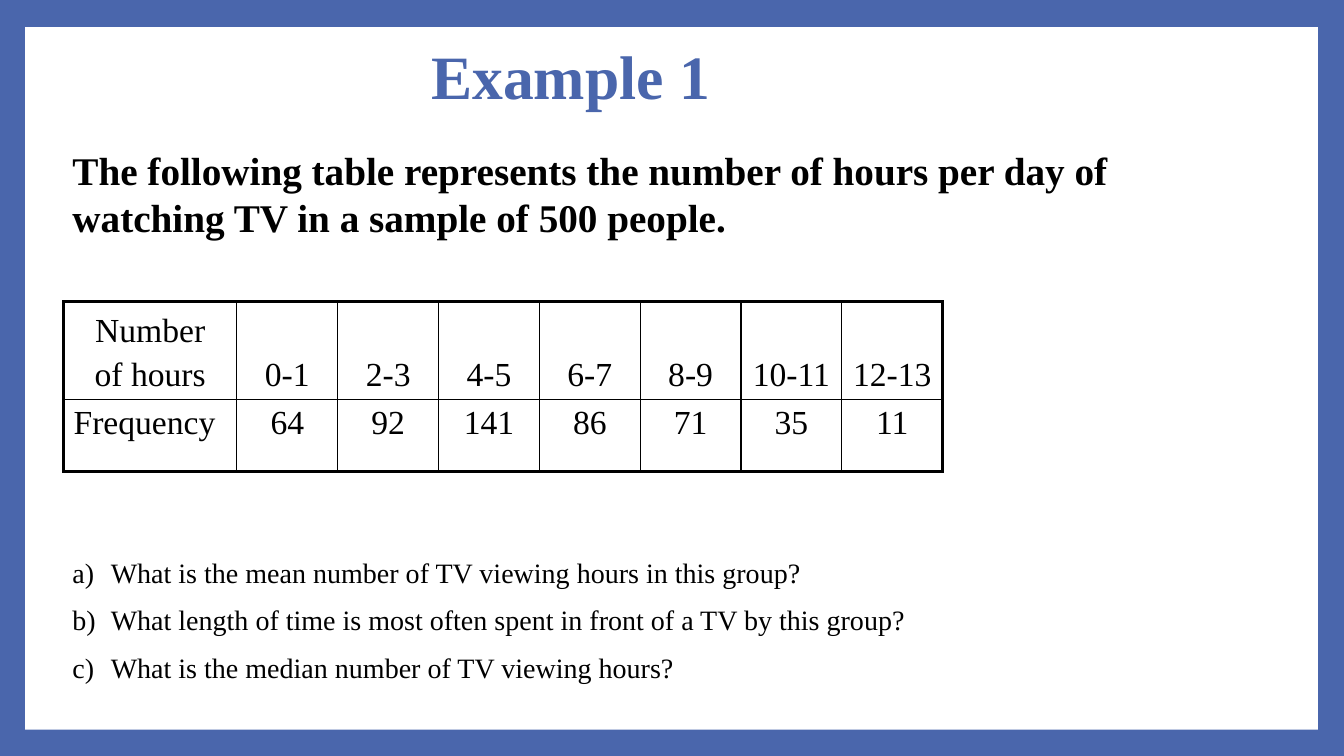
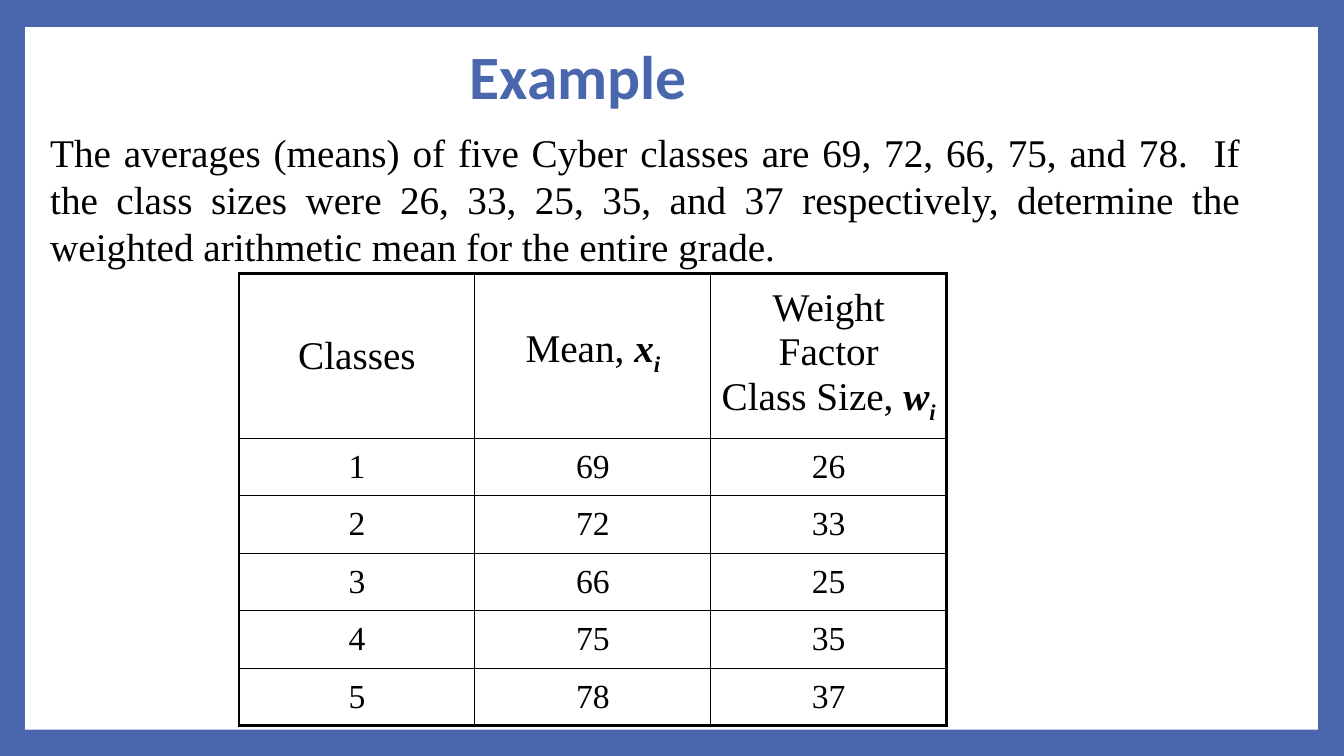
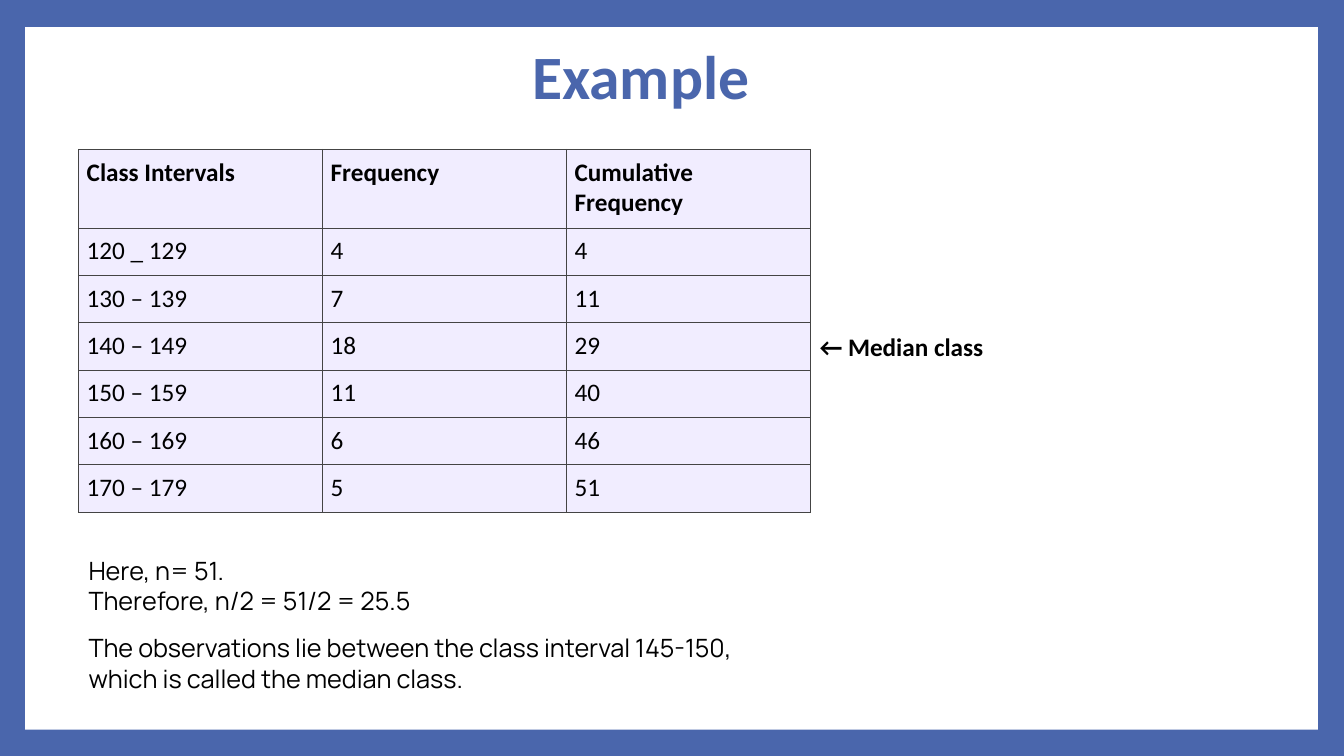
from pptx import Presentation
from pptx.dml.color import RGBColor
from pptx.enum.shapes import MSO_SHAPE
from pptx.enum.text import MSO_ANCHOR, PP_ALIGN
from pptx.oxml.ns import qn
from pptx.util import Inches, Pt
from lxml import etree

RECT = MSO_SHAPE.RECTANGLE
TOP, MIDDLE, BOTTOM = MSO_ANCHOR.TOP, MSO_ANCHOR.MIDDLE, MSO_ANCHOR.BOTTOM
LEFT, CENTER, JUSTIFY = PP_ALIGN.LEFT, PP_ALIGN.CENTER, PP_ALIGN.JUSTIFY

BLUE, WHITE, BLACK = "4A66AC", "FFFFFF", "000000"
LILAC, GREY = "F1EDFF", "444444"
SERIF, SANS, ROUND = "Times New Roman", "Calibri", "Manrope"
VAR = {"bold": True, "italic": True}


def color(code):
    return RGBColor.from_string(code)


def paint(fill, code):
    fill.solid()
    fill.fore_color.rgb = color(code)


def write(frame, items, font, ink=BLACK, align=LEFT, line=None, gap=0, letters=False):
    for i, item in enumerate(items):
        para = frame.paragraphs[0] if i == 0 else frame.add_paragraph()
        if letters:
            props = para._p.get_or_add_pPr()
            props.set("marL", str(Inches(0.38)))
            props.set("indent", str(-Inches(0.38)))
            etree.SubElement(props, qn("a:buAutoNum"), type="alphaLcParenR")
        para.alignment = align
        if line:
            para.line_spacing = Pt(line)
        if i and gap:
            para.space_before = Pt(gap)
        for text, style, base in [(item, {}, 0)] if isinstance(item, str) else item:
            run = para.add_run()
            run.text = text
            for key, value in {**font, **style}.items():
                setattr(run.font, key, value)
            run.font.color.rgb = color(ink)
            if base:
                run.font._element.set("baseline", str(base))


def face(name, size, bold=False):
    return {"name": name, "size": Pt(size), "bold": bold}


def textbox(slide, at, items, font, anchor=TOP, wrap=True, **look):
    frame = slide.shapes.add_textbox(*map(Inches, at)).text_frame
    frame.word_wrap = wrap
    frame.vertical_anchor = anchor
    write(frame, items, font, **look)


def add_page(deck, title, left, font=SANS):
    slide = deck.slides.add_slide(deck.slide_layouts[6])
    panel = slide.shapes.add_shape(RECT, *map(Inches, (0.25, 0.27, 12.82, 6.97)))
    panel.shadow.inherit = False
    paint(panel.fill, WHITE)
    panel.line.fill.background()
    textbox(slide, (left, 0, 5, 1.48), [title], face(font, 44, True), MIDDLE, ink=BLUE)
    return slide


def edge(cell, widths, code):
    props = cell._tc.get_or_add_tcPr()
    for i, (side, width) in enumerate(zip("LRTB", widths)):
        line = etree.Element(qn("a:ln" + side), w=str(Pt(width)))
        fill = etree.SubElement(line, qn("a:solidFill"))
        etree.SubElement(fill, qn("a:srgbClr"), val=code)
        props.insert(i, line)


def add_grid(slide, left, top, cols, rows, data, style, pad, rule, fill=None):
    inner, outer, code = rule
    size = map(Inches, (left, top, sum(cols), sum(rows)))
    table = slide.shapes.add_table(len(rows), len(cols), *size).table
    table.first_row = table.horz_banding = False
    for col, width in zip(table.columns, cols):
        col.width = Inches(width)
    for r, height in enumerate(rows):
        table.rows[r].height = Inches(height)
        for c, value in enumerate(data[r]):
            cell = table.cell(r, c)
            cell.margin_left = cell.margin_right = Inches(pad[0])
            cell.margin_top = cell.margin_bottom = Inches(pad[1])
            anchor, look = style(r, c)
            cell.vertical_anchor = anchor
            write(cell.text_frame, value if isinstance(value, list) else [value], **look)
            if fill:
                paint(cell.fill, fill)
            else:
                cell.fill.background()
            ends = (c == 0, c == len(cols) - 1, r == 0, r == len(rows) - 1)
            edge(cell, [outer if end else inner for end in ends], code)


def hours(deck):
    slide = add_page(deck, "Example 1", 4.18, SERIF)
    textbox(slide, (0.62, 1.4, 11.85, 1.03), [
        "The following table represents the number of hours per day of "
        "watching TV in a sample of 500 people."],
        face(SERIF, 28, True), line=33.6)

    def style(r, c):
        look = {"font": face(SERIF, 24), "line": 26.6, "gap": 4.8,
                "align": LEFT if (r, c) == (1, 0) else CENTER}
        return (TOP if r else BOTTOM), look

    data = [
        [["Number", "of hours"], "0-1", "2-3", "4-5", "6-7", "8-9", "10-11", "12-13"],
        ["Frequency", "64", "92", "141", "86", "71", "35", "11"],
    ]
    add_grid(slide, 0.63, 2.99, [1.72] + [1] * 7, [0.97, 0.72], data, style,
             (0.1, 0.05), (1, 2.25, BLACK))
    textbox(slide, (0.62, 5.46, 9.25, 1.45), [
        "What is the mean number of TV viewing hours in this group?",
        "What length of time is most often spent in front of a TV by this group?",
        "What is the median number of TV viewing hours?"],
        face(SERIF, 20), line=24, gap=10, letters=True)


def weights(deck):
    slide = add_page(deck, "Example", 4.56)
    textbox(slide, (0.4, 1.22, 12, 1.51), [
        "The averages (means) of five Cyber classes are 69, 72, 66, 75, and 78.  "
        "If the class sizes were 26, 33, 25, 35, and 37 respectively, determine "
        "the weighted arithmetic mean for the entire grade."],
        face(SERIF, 28), align=JUSTIFY, line=33.6)

    def style(r, c):
        size = 24 if r else 28
        return MIDDLE, {"font": face(SERIF, size), "align": CENTER,
                        "line": round(size * 1.11, 1), "gap": 5.6}

    def term(text, sign):
        return [(text, {}, 0), (sign, VAR, 0), ("i", VAR, -25000)]

    means, sizes = (69, 72, 66, 75, 78), (26, 33, 25, 35, 37)
    data = [["Classes", [term("Mean, ", "x")],
             ["Weight Factor", term("Class Size, ", "w")]]]
    for i, (mean, size) in enumerate(zip(means, sizes), 1):
        data.append([str(i), str(mean), str(size)])
    add_grid(slide, 2.37, 2.71, [2.34] * 3, [1.64] + [0.57] * 5, data, style,
             (0.1, 0.05), (1, 2.25, BLACK))


def median(deck):
    slide = add_page(deck, "Example", 5.18)

    def style(r, c):
        return TOP, {"font": face(SANS, 18, r == 0)}

    data = [
        ["Class Intervals", "Frequency", "Cumulative Frequency"],
        ["120 _ 129", "4", "4"],
        ["130 – 139", "7", "11"],
        ["140 – 149", "18", "29"],
        ["150 – 159", "11", "40"],
        ["160 – 169", "6", "46"],
        ["170 – 179", "5", "51"],
    ]
    add_grid(slide, 0.78, 1.48, [2.42] * 3, [0.78] + [0.47] * 6, data, style,
             (0.08, 0.08), (0.38, 0.38, GREY), LILAC)
    textbox(slide, (8.03, 3.24, 1.89, 0.4), ["← Median class"],
            face(SANS, 18, True), wrap=False)
    notes = [
        (5.45, ["Here, n= 51.", "Therefore, n/2 = 51/2 = 25.5"]),
        (6.22, ["The observations lie between the class interval 145-150, "
                "which is called the median class."]),
    ]
    for top, items in notes:
        textbox(slide, (0.78, top, 6.67, 0.71), items, face(ROUND, 18), line=22)


def main():
    deck = Presentation()
    deck.slide_width, deck.slide_height = Inches(13.33), Inches(7.5)
    paint(deck.slide_master.background.fill, BLUE)
    for build in (hours, weights, median):
        build(deck)
    deck.save("out.pptx")


if __name__ == "__main__":
    main()
